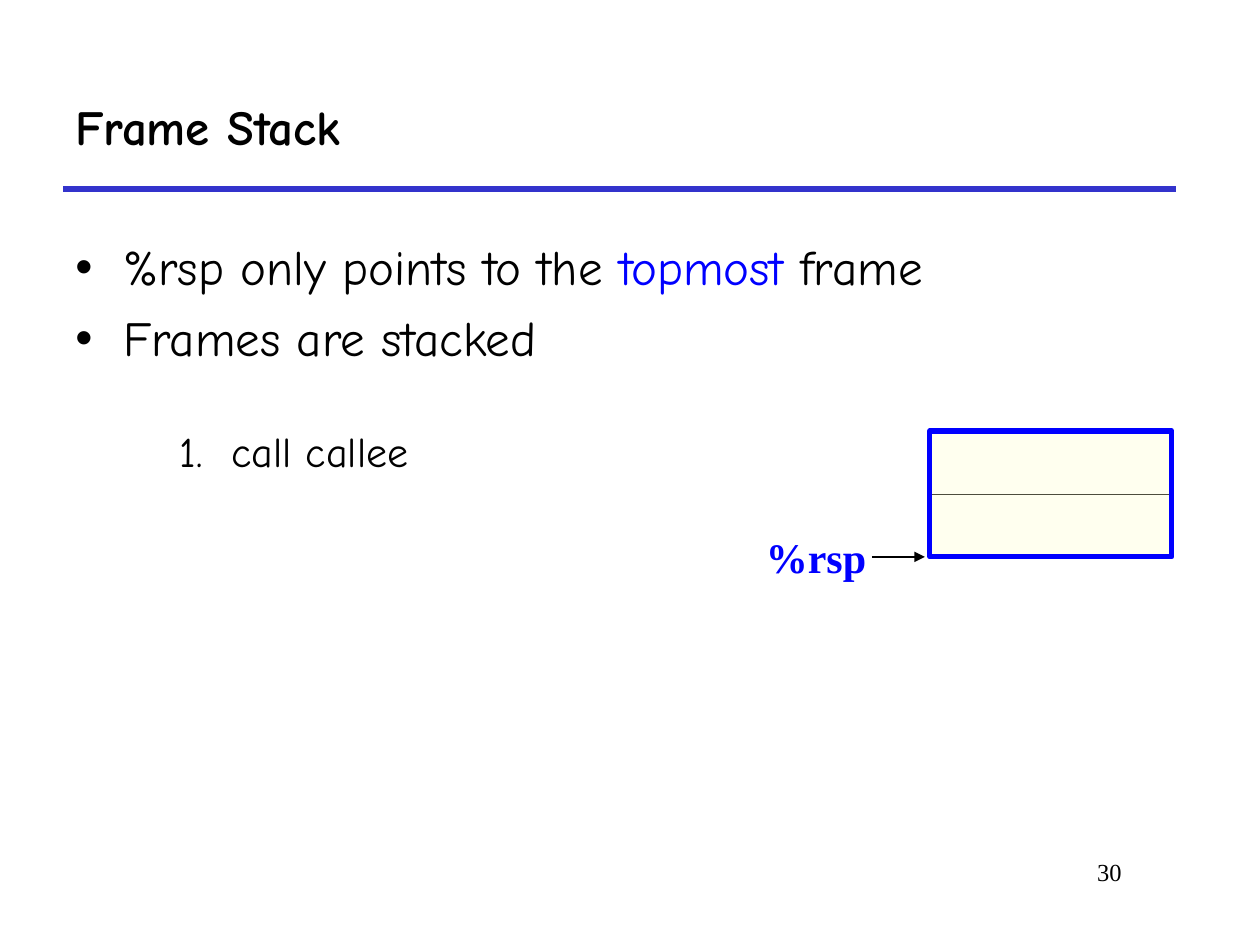
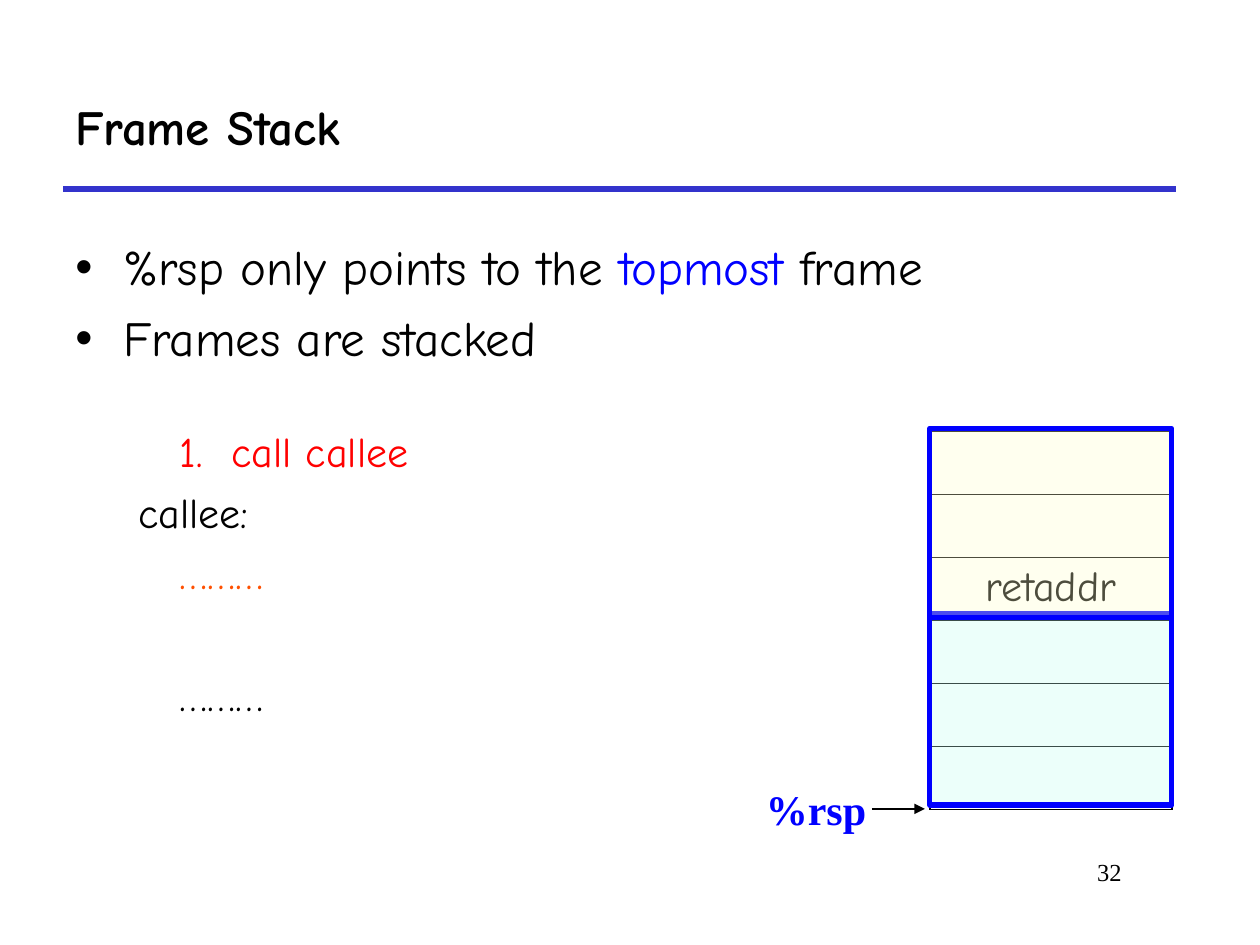
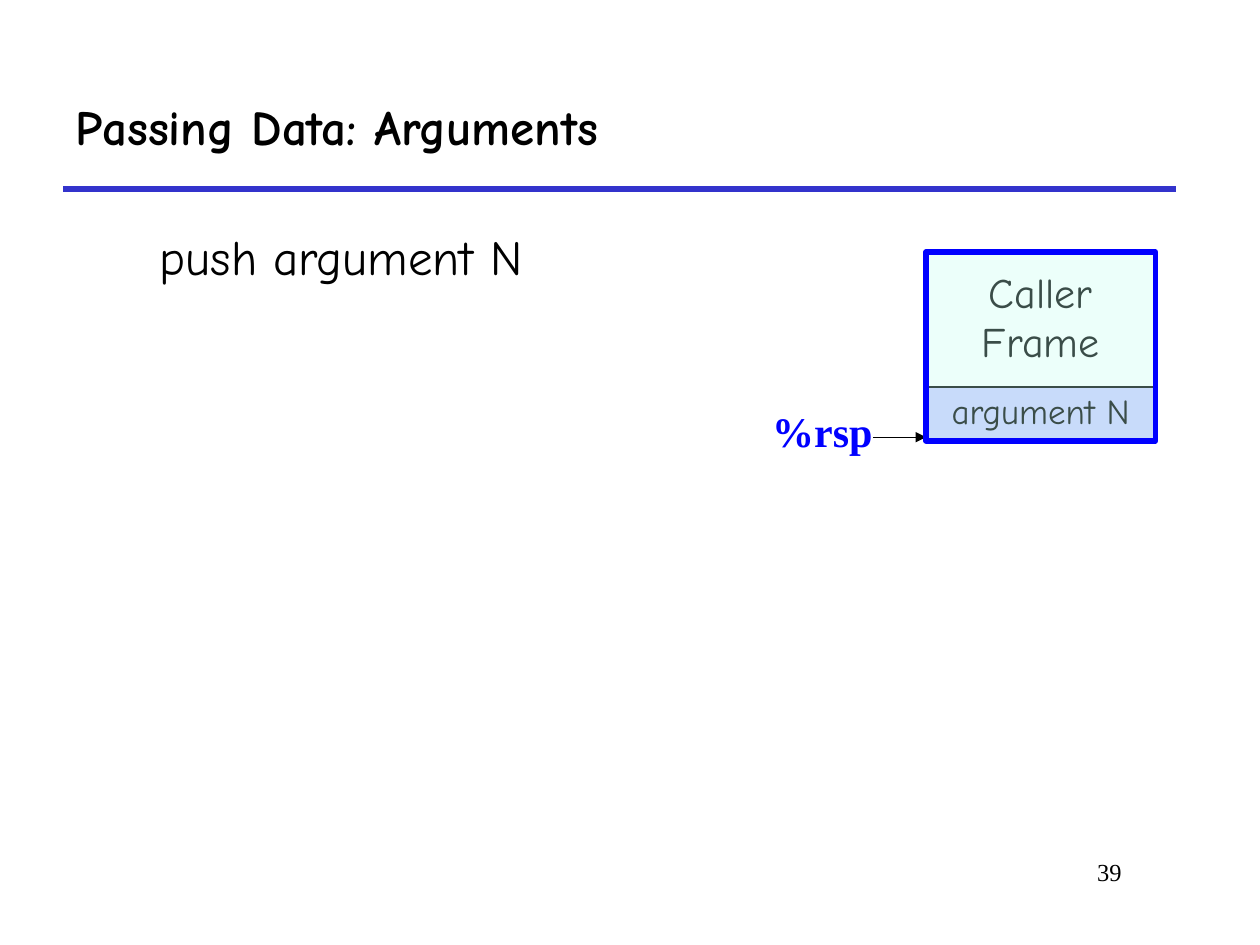
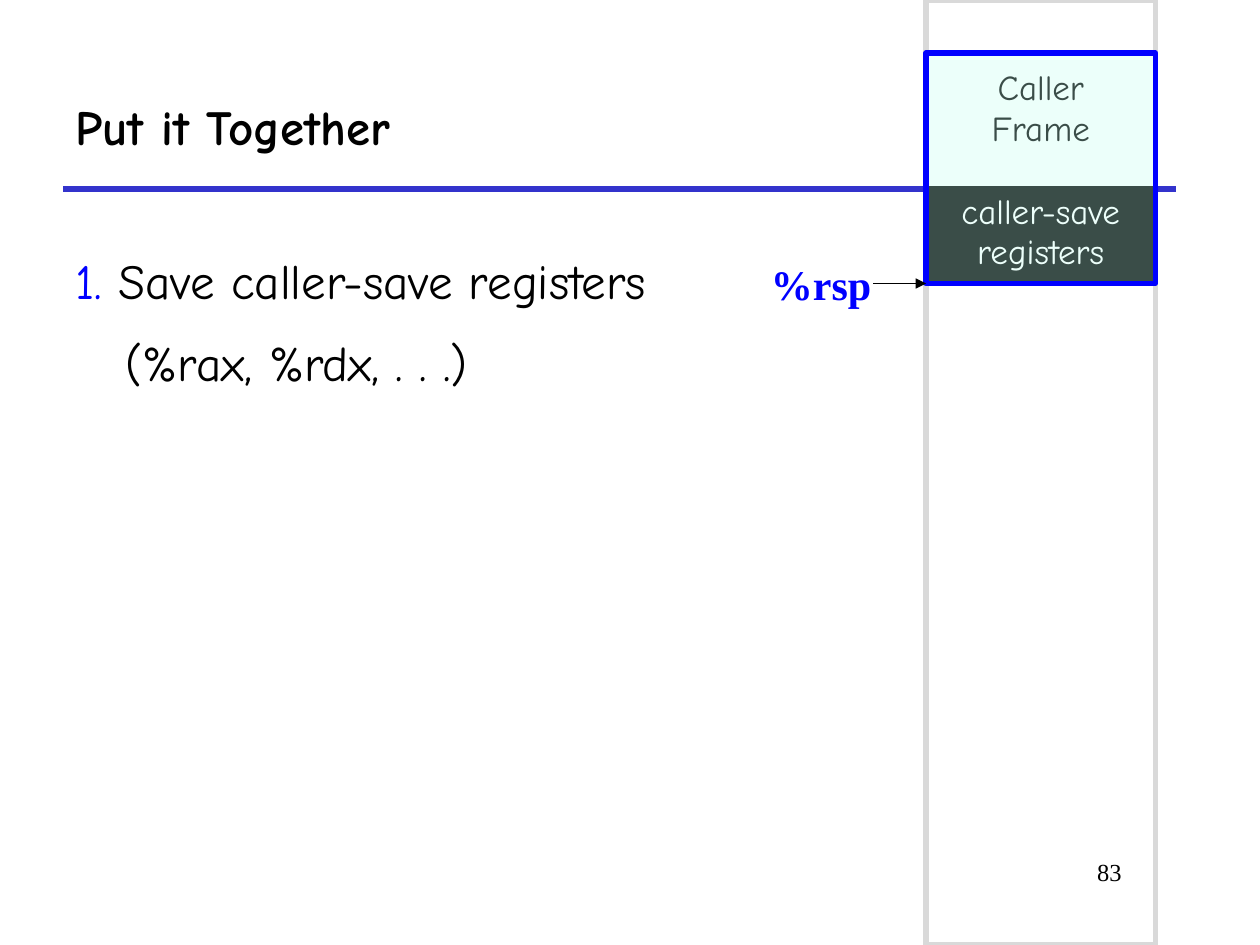
from lxml.etree import SubElement
from pptx import Presentation
from pptx.dml.color import RGBColor
from pptx.enum.shapes import MSO_CONNECTOR, MSO_SHAPE
from pptx.enum.text import MSO_ANCHOR, PP_ALIGN
from pptx.oxml.ns import qn
from pptx.util import Inches, Pt

BLACK = RGBColor(0x00, 0x00, 0x00)
WHITE = RGBColor(0xFF, 0xFF, 0xFF)
BLUE = RGBColor(0x00, 0x00, 0xFF)
RULE_BLUE = RGBColor(0x33, 0x33, 0xCC)
RED = RGBColor(0xFF, 0x00, 0x00)
ORANGE = RGBColor(0xFF, 0x50, 0x00)
GRAY = RGBColor(0xD9, 0xD9, 0xD9)
CREAM = RGBColor(0xFF, 0xFF, 0xCC)
MINT = RGBColor(0xC2, 0xFF, 0xF0)
LAVENDER = RGBColor(0xCC, 0xCC, 0xFF)

BODY_FONT = "Comic Neue"
LABEL_FONT = "Times New Roman"

ROW_H = 0.5
STACK_X, STACK_Y, STACK_W = 7.38, 3.42, 1.92
FRAME_X, FRAME_W = 7.35, 1.82


def write(p, runs, size, font=BODY_FONT, bold=False):
    """Fill a paragraph with (text, colour) runs; a newline breaks the line."""
    for text, color in runs:
        for i, line in enumerate(text.split("\n")):
            if i:
                p.add_line_break()
            r = p.add_run()
            r.text = line
            r.font.name = font
            r.font.size = Pt(size)
            r.font.bold = bold
            r.font.color.rgb = color


def add_text(s, x, y, w, h, wrap=True):
    tf = s.shapes.add_textbox(Inches(x), Inches(y), Inches(w), Inches(h)).text_frame
    tf.word_wrap = wrap
    return tf


def add_line(s, x1, x2, y, color, width, arrow=False):
    line = s.shapes.add_connector(MSO_CONNECTOR.STRAIGHT, Inches(x1), Inches(y),
                                  Inches(x2), Inches(y))
    line.line.color.rgb = color
    line.line.width = Pt(width)
    if arrow:
        SubElement(line.line._get_or_add_ln(), qn("a:tailEnd"), type="triangle")
    SubElement(line._element.spPr, qn("a:effectLst"))


def add_frame(s, x, y, w, h, line=BLUE, fill=None):
    """Outlined rectangle with an optional 30 % opaque tint."""
    sp = s.shapes.add_shape(MSO_SHAPE.RECTANGLE, Inches(x), Inches(y), Inches(w), Inches(h))
    sp.shadow.inherit = False
    sp.line.color.rgb = line
    sp.line.width = Pt(3)
    if fill is None:
        sp.fill.background()
    else:
        sp.fill.solid()
        sp.fill.fore_color.rgb = fill
        color = sp._element.spPr.find(qn("a:solidFill"))[0]
        SubElement(color, qn("a:alpha"), val="30000")


def set_borders(cell, side_width, row_width):
    tcPr = cell._tc.get_or_add_tcPr()
    for side, width in zip("LRTB", (side_width, side_width, row_width, row_width)):
        ln = SubElement(tcPr, qn(f"a:ln{side}"), w=str(Pt(width)))
        fill = SubElement(ln, qn("a:solidFill"))
        SubElement(fill, qn("a:srgbClr"), val=str(BLACK))


def add_cells(s, x, y, w, row_h, texts, size, fill=None, color=BLACK,
              row_border=1.08, margin_top=0.05):
    """One-column table of stack cells."""
    table = s.shapes.add_table(len(texts), 1, Inches(x), Inches(y), Inches(w),
                               Inches(row_h * len(texts))).table
    table.first_row = table.horz_banding = False
    for i, text in enumerate(texts):
        cell = table.cell(i, 0)
        set_borders(cell, 1.08, row_border)
        if fill is None:
            cell.fill.background()
        else:
            cell.fill.solid()
            cell.fill.fore_color.rgb = fill
        cell.margin_top = Inches(margin_top)
        if text:
            p = cell.text_frame.paragraphs[0]
            p.alignment = PP_ALIGN.CENTER
            write(p, [(text, color)], size)


def add_caller_frame(s, y, h, size, margin_top):
    add_cells(s, FRAME_X, y, FRAME_W, h, ["Caller\nFrame"], size, margin_top=margin_top)
    add_frame(s, FRAME_X, y, FRAME_W, h, fill=MINT)


def add_rsp_pointer(s, x, y, tip_x, width, label_rise=0.25):
    """%rsp label with an arrow at height y ending at tip_x."""
    tf = add_text(s, x, y - label_rise, 0.99, 0.5, wrap=False)
    tf.margin_right = 0
    write(tf.paragraphs[0], [("%rsp", BLUE)], 24, LABEL_FONT, bold=True)
    add_line(s, tip_x - 0.42, tip_x, y, BLACK, width, arrow=True)


def new_slide(prs, title, number):
    s = prs.slides.add_slide(prs.slide_layouts[6])
    add_line(s, 0.5, 9.33, 1.5, RULE_BLUE, 3)
    tf = add_text(s, 0.5, 0.5, 8.83, 1)
    tf.vertical_anchor = MSO_ANCHOR.MIDDLE
    write(tf.paragraphs[0], [(title, BLACK)], 28, bold=True)
    p = add_text(s, 7.58, 6.75, 1.42, 0.5).paragraphs[0]
    p.alignment = PP_ALIGN.RIGHT
    write(p, [(str(number), BLACK)], 14, LABEL_FONT)
    return s


def set_indent(p, left, first=0):
    pPr = p._p.get_or_add_pPr()
    pPr.set("marL", str(Inches(left)))
    pPr.set("indent", str(Inches(first)))
    return pPr


def add_frame_bullets(s):
    tf = add_text(s, 0.5, 1.83, 8.33, 1.17)
    bullets = [
        [("%rsp only points to the ", BLACK), ("topmost ", BLUE), ("frame", BLACK)],
        [("Frames are stacked", BLACK)],
    ]
    for i, runs in enumerate(bullets):
        p = tf.add_paragraph() if i else tf.paragraphs[0]
        if i:
            p.space_before = Pt(7)
        pPr = set_indent(p, 0.38, -0.38)
        color = SubElement(pPr, qn("a:buClr"))
        SubElement(color, qn("a:srgbClr"), val=str(BLACK))
        SubElement(pPr, qn("a:buFont"), typeface="Arial")
        SubElement(pPr, qn("a:buChar"), char="•")
        write(p, runs, 28)


def add_steps(s, h, steps):
    """Code steps, each (text, colour, left, first-line indent, space before)."""
    tf = add_text(s, 0.5, 3.33, 5, h)
    for i, (text, color, left, first, before) in enumerate(steps):
        p = tf.add_paragraph() if i else tf.paragraphs[0]
        set_indent(p, left, first)
        if i:
            p.space_before = Pt(before)
        write(p, [(text, color)], 24)


def frame_stack_slide(prs, number, labels, frames, steps, steps_h):
    s = new_slide(prs, "Frame Stack", number)
    add_cells(s, STACK_X, STACK_Y, STACK_W, ROW_H, labels, 24, WHITE, row_border=0.45)
    for y, h, fill in frames:
        add_frame(s, STACK_X, y, STACK_W, h, fill=fill)
    add_frame_bullets(s)
    add_rsp_pointer(s, 5.98, STACK_Y + ROW_H * len(labels), 7.34, 1.5)
    add_steps(s, steps_h, steps)


def arguments_slide(prs):
    s = new_slide(prs, "Passing Data: Arguments", 39)
    add_cells(s, FRAME_X, 3.07, FRAME_W, 0.43, ["argument N"], 20, LAVENDER)
    tf = add_text(s, 1.17, 1.75, 8.5, 4.83)
    write(tf.paragraphs[0], [("push argument N", BLACK)], 28)
    add_rsp_pointer(s, 6.03, 3.47, FRAME_X, 0.75, label_rise=0.3)
    add_caller_frame(s, 2, 1.5, 24, 0.15)


def together_slide(prs):
    s = new_slide(prs, "Put it Together", 83)
    add_frame(s, FRAME_X, 0, FRAME_W, 7.5, line=GRAY)
    add_cells(s, FRAME_X, 1.48, FRAME_W, 0.77, ["caller-save registers"], 20, BLACK, WHITE)
    p = add_text(s, 0.5, 1.75, 9.5, 4.83).paragraphs[0]
    set_indent(p, 0.4, -0.4)
    p.line_spacing = 1.4
    write(p, [("1. ", BLUE), ("Save caller-save registers\n(%rax, %rdx, . . .)", BLACK)], 28)
    add_caller_frame(s, 0.42, 1.83, 20, 0.13)
    add_rsp_pointer(s, 6.02, 2.25, FRAME_X, 0.75)


def main():
    prs = Presentation()
    prs.slide_width, prs.slide_height = Inches(10), Inches(7.5)
    call = "1.\tcall callee"
    frame_stack_slide(prs, 30, [""] * 2, [(3.42, 1, CREAM)],
                      [(call, BLACK, 1.24, -0.41, 0)], 0.5)
    frame_stack_slide(
        prs, 32, ["", "", "retaddr", "", "", ""],
        [(4.87, 1.52, MINT), (3.4, 1.5, CREAM)],
        [(call, RED, 1.24, -0.41, 0),
         ("callee:", BLACK, 0.5, 0, 6),
         ("………", ORANGE, 0.83, 0, 6),
         ("………", BLACK, 0.83, 0, 41)], 2.92)
    arguments_slide(prs)
    together_slide(prs)
    prs.save("out.pptx")


if __name__ == "__main__":
    main()
